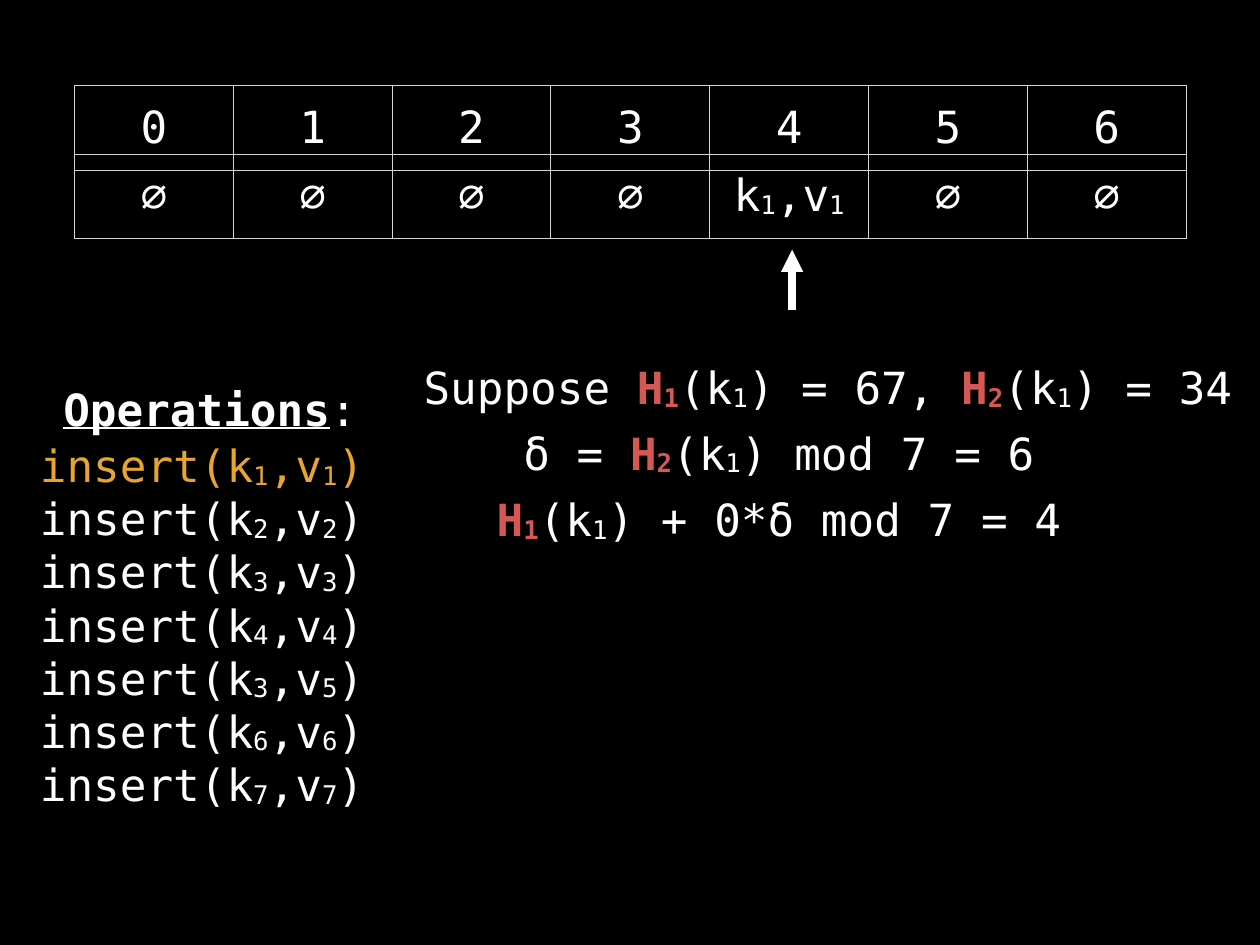
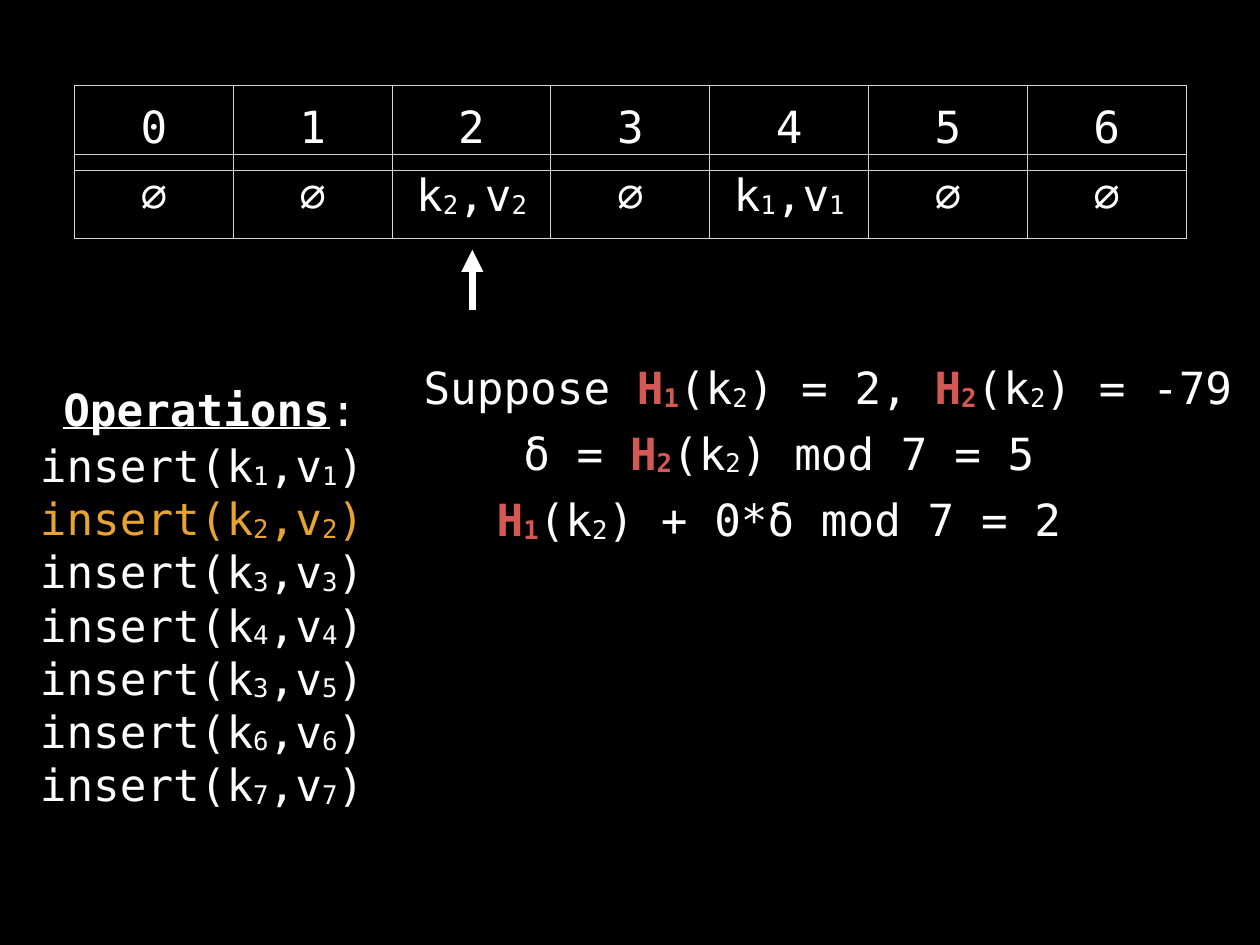
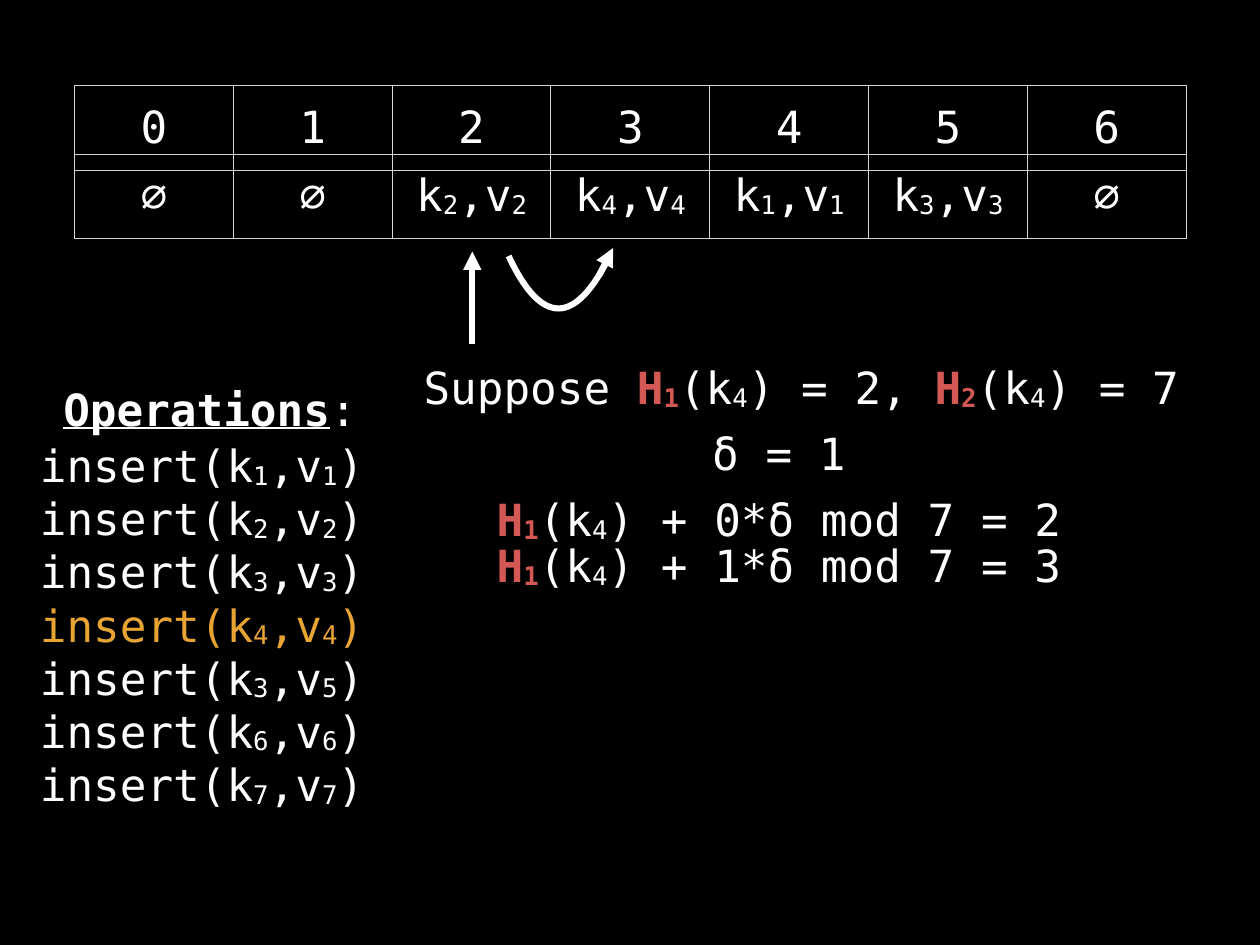
from dataclasses import dataclass

from lxml import etree
from pptx import Presentation
from pptx.dml.color import RGBColor
from pptx.enum import shapes, text
from pptx.oxml import ns
from pptx.util import Inches, Pt


@dataclass(frozen=True)
class Theme:
    font: str = "DejaVu Sans Mono"
    size: int = 36
    background: RGBColor = RGBColor(0x00, 0x00, 0x00)
    ink: RGBColor = RGBColor(0xFF, 0xFF, 0xFF)
    active: RGBColor = RGBColor(0xE8, 0xA4, 0x32)
    hash_name: RGBColor = RGBColor(0xD4, 0x58, 0x54)
    grid: str = "D6D6D6"
    grid_width: int = 1
    inset: float = 0.06
    subscript: str = "-6000"


def split_markup(markup):
    """Yield (words, is_subscript, is_hash); "_" lowers the next character, H names a hash."""
    in_hash = False
    for index, part in enumerate(markup.split("_")):
        if index:
            yield part[0], True, in_hash
            part = part[1:]
        in_hash = part.endswith("H")
        plain = part.removesuffix("H")
        if plain:
            yield plain, False, False
        if in_hash:
            yield "H", False, True


class HashDeck:
    TABLE_LEFT, TABLE_WIDTH, ROW_HEIGHT = 0.84, 12.55, 0.95
    LINE_HEIGHT = 0.68

    def __init__(self, theme):
        self.theme = theme
        self.deck = Presentation()
        self.deck.slide_width = Inches(14.22)
        self.deck.slide_height = Inches(10.67)
        fill = self.deck.slide_master.background.fill
        fill.solid()
        fill.fore_color.rgb = theme.background
        self.page = None

    def new_page(self):
        blank = self.deck.slide_layouts.get_by_name("Blank")
        self.page = self.deck.slides.add_slide(blank)

    def style(self, para, align):
        para.alignment = align
        para.font.name = self.theme.font
        para.font.size = Pt(self.theme.size)

    def add_span(self, para, words, color):
        span = para.add_run()
        span.text = words
        span.font.color.rgb = color
        return span

    def fill_para(self, para, markup, align=text.PP_ALIGN.CENTER, color=None):
        self.style(para, align)
        for words, is_subscript, is_hash in split_markup(markup):
            span_color = self.theme.hash_name if is_hash else color or self.theme.ink
            span = self.add_span(para, words, span_color)
            if is_hash:
                span.font.bold = True
            if is_subscript:
                span.font._element.set("baseline", self.theme.subscript)

    def text_box(self, left, top, width, height=LINE_HEIGHT, anchor=text.MSO_ANCHOR.MIDDLE):
        box = self.page.shapes.add_textbox(*map(Inches, (left, top, width, height)))
        frame = box.text_frame
        frame.word_wrap = False
        frame.auto_size = text.MSO_AUTO_SIZE.SHAPE_TO_FIT_TEXT
        frame.vertical_anchor = anchor
        frame.margin_left = frame.margin_right = Inches(self.theme.inset)
        frame.margin_top = frame.margin_bottom = Inches(self.theme.inset)
        return frame

    def formula(self, markup, left, top, width, align=text.PP_ALIGN.CENTER):
        self.fill_para(self.text_box(left, top, width).paragraphs[0], markup, align)

    def heading(self, words, left, top, width):
        """Add an underlined bold heading followed by a plain colon."""
        para = self.text_box(left, top, width).paragraphs[0]
        self.style(para, text.PP_ALIGN.CENTER)
        title = self.add_span(para, words, self.theme.ink)
        title.font.bold = title.font.underline = True
        self.add_span(para, ":", self.theme.ink)

    def operations(self, pairs, active):
        frame = self.text_box(0.39, 4.89, 4.14, 4.1, text.MSO_ANCHOR.TOP)
        for index, (key, value) in enumerate(pairs):
            para = frame.add_paragraph() if index else frame.paragraphs[0]
            color = self.theme.active if index == active else None
            self.fill_para(para, f"insert(k_{key},v_{value})", text.PP_ALIGN.LEFT, color)

    def cell_borders(self, cell):
        properties = cell._tc.get_or_add_tcPr()
        for index, side in enumerate(("a:lnL", "a:lnR", "a:lnT", "a:lnB")):
            line = etree.Element(ns.qn(side), w=str(Pt(self.theme.grid_width)))
            fill = etree.SubElement(line, ns.qn("a:solidFill"))
            etree.SubElement(fill, ns.qn("a:srgbClr"), val=self.theme.grid)
            properties.insert(index, line)

    def table_row(self, labels, top):
        frame = self.page.shapes.add_table(1, len(labels), *map(
            Inches, (self.TABLE_LEFT, top, self.TABLE_WIDTH, self.ROW_HEIGHT)))
        table = frame.table
        table.first_row = table.horz_banding = False
        for cell, label in zip(table.iter_cells(), labels):
            cell.fill.background()
            cell.vertical_anchor = text.MSO_ANCHOR.MIDDLE
            cell.margin_left = cell.margin_right = Inches(self.theme.inset)
            cell.margin_top = cell.margin_bottom = Inches(self.theme.inset)
            self.fill_para(cell.text_frame.paragraphs[0], label)
            self.cell_borders(cell)

    def arrow(self, start, end, width):
        line = self.page.shapes.add_connector(
            shapes.MSO_CONNECTOR.STRAIGHT, *map(Inches, (*start, *end)))
        line.line.color.rgb = self.theme.ink
        line.line.width = Pt(width)
        etree.SubElement(line.line._get_or_add_ln(), ns.qn("a:tailEnd"), type="triangle")
        etree.SubElement(line._element.spPr, ns.qn("a:effectLst"))

    def curve(self, controls, width, steps=32):
        """Draw a cubic Bézier curve through its four control points."""
        def point(t):
            weights = ((1 - t) ** 3, 3 * t * (1 - t) ** 2, 3 * t * t * (1 - t), t ** 3)
            return tuple(Inches(sum(w * c for w, c in zip(weights, axis)))
                         for axis in zip(*controls))

        points = [point(step / steps) for step in range(steps + 1)]
        builder = self.page.shapes.build_freeform(*points[0])
        builder.add_line_segments(points[1:], close=False)
        shape = builder.convert_to_shape()
        shape.shadow.inherit = False
        shape.fill.background()
        shape.line.color.rgb = self.theme.ink
        shape.line.width = Pt(width)


SLOTS = 7
OPERATIONS = [(1, 1), (2, 2), (3, 3), (4, 4), (3, 5), (6, 6), (7, 7)]
FORMULA_CENTER = 8.79
PROBE_WIDTH = 6.55


@dataclass
class Step:
    key: int
    stored: dict
    hashes: tuple
    suppose_width: float
    delta: str
    delta_width: float
    probes: list
    arrow_x: float
    arrow_y: tuple = (3.5, 2.82)
    arrow_width: int = 6


STEPS = [
    Step(1, {4: 1}, (67, 34), 9.36, "H_2(k_1) mod 7 = 6", 5.94, [4], 8.94),
    Step(2, {4: 1, 2: 2}, (2, -79), 9.36, "H_2(k_2) mod 7 = 5", 5.94, [2], 5.33),
    Step(4, {4: 1, 2: 2, 5: 3, 3: 4}, (2, 7), 8.75, "1", 1.63, [2, 3], 5.33,
         (3.88, 2.84), 5),
]


def build_step(deck, step):
    deck.new_page()
    keys = [step.stored.get(slot) for slot in range(SLOTS)]
    deck.table_row([f"k_{key},v_{key}" if key else "∅" for key in keys], 1.74)
    deck.table_row([str(slot) for slot in range(SLOTS)], 0.97)
    deck.heading("Operations", 0.65, 4.27, 3.44)
    deck.operations(OPERATIONS, step.key - 1)

    first, second = step.hashes
    deck.formula(f"Suppose H_1(k_{step.key}) = {first}, H_2(k_{step.key}) = {second}",
                 4.72, 4.03, step.suppose_width, text.PP_ALIGN.LEFT)
    deck.formula(f"δ = {step.delta}", FORMULA_CENTER - step.delta_width / 2, 4.77,
                 step.delta_width)
    for attempt, slot in enumerate(step.probes):
        deck.formula(f"H_1(k_{step.key}) + {attempt}*δ mod 7 = {slot}",
                     FORMULA_CENTER - PROBE_WIDTH / 2, 5.52 + 0.52 * attempt, PROBE_WIDTH)

    bottom, tip = step.arrow_y
    deck.arrow((step.arrow_x, bottom), (step.arrow_x, tip), step.arrow_width)
    if len(step.probes) > 1:
        deck.curve([(6.88, 2.89), (6.49, 3.68), (6.11, 3.68), (5.74, 2.89)], step.arrow_width)
        deck.arrow((6.76, 3.11), (6.92, 2.8), step.arrow_width)


def main():
    deck = HashDeck(Theme())
    for step in STEPS:
        build_step(deck, step)
    deck.deck.save("out.pptx")


if __name__ == "__main__":
    main()
